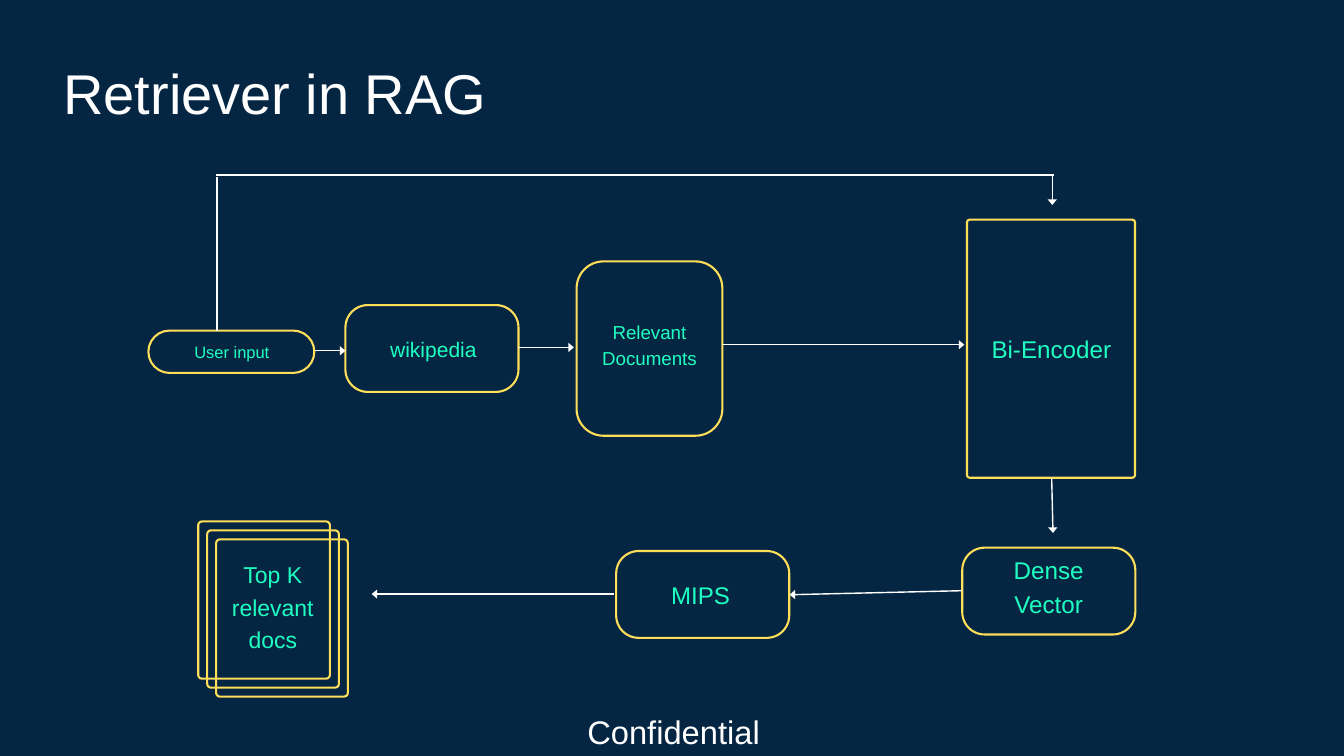
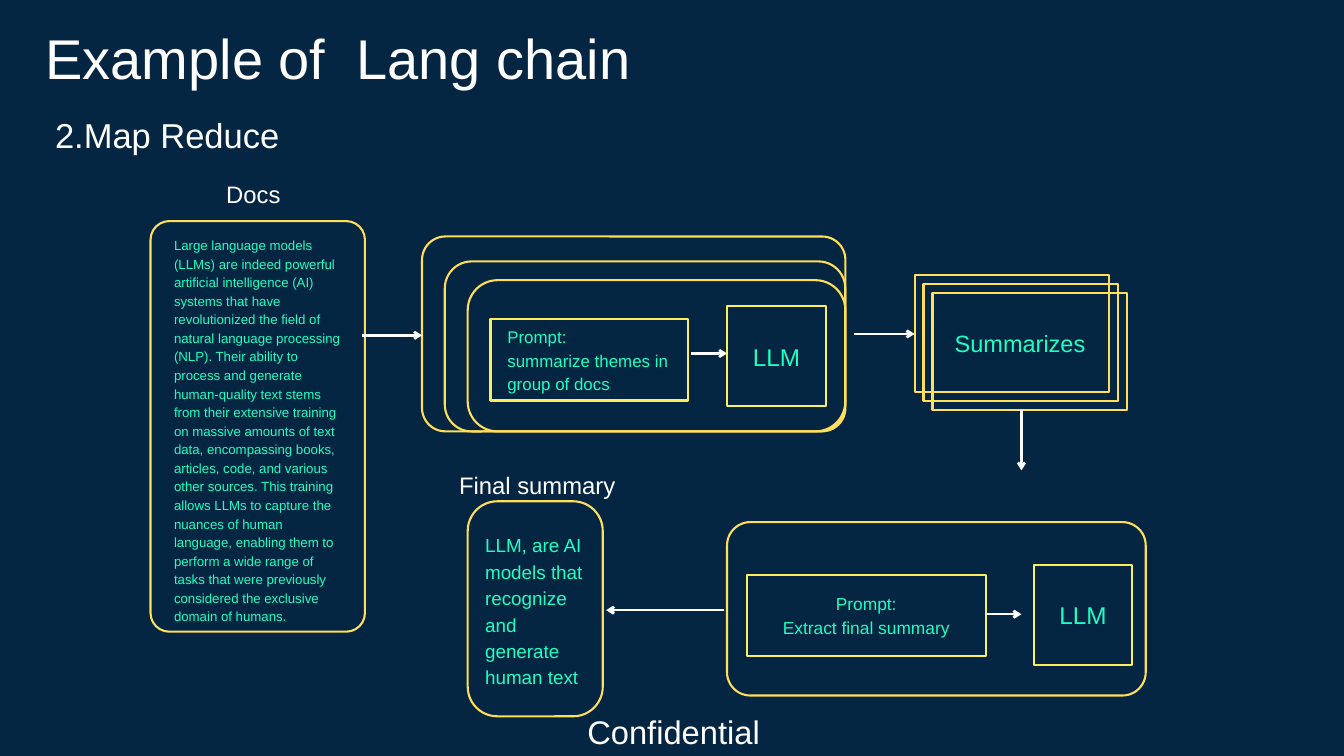
from lxml import etree
from pptx import Presentation
from pptx.dml.color import RGBColor
from pptx.enum import shapes, text
from pptx.oxml import ns
from pptx.util import Pt

NAVY = RGBColor(0x05, 0x26, 0x43)
WHITE = RGBColor(0xFF, 0xFF, 0xFF)
MINT = RGBColor(0x1E, 0xFF, 0xC1)
GOLD = RGBColor(0xFF, 0xDE, 0x59)
LEMON = RGBColor(0xFD, 0xEF, 0x59)

FONT = "Arial"
LEADING = 1.4
STACK_STEP = 9.6
STACK_SIZE = 3
TITLE_SIZE = 60
FOOTER = ("Confidential", (569.5, 755.3, 304.6, 49), 35, WHITE)
CENTER, LEFT = text.PP_ALIGN.CENTER, text.PP_ALIGN.LEFT
HEAD_WIDTHS = {"triangle": "lg", "arrow": "med"}

DOCS_TEXT = (
    "Large language models (LLMs) are indeed powerful artificial intelligence (AI) "
    "systems that have revolutionized the field of natural language processing (NLP). "
    "Their ability to process and generate human-quality text stems from their extensive "
    "training on massive amounts of text data, encompassing books, articles, code, and "
    "various other sources. This training allows LLMs to capture the nuances of human "
    "language, enabling them to perform a wide range of tasks that were previously "
    "considered the exclusive domain of humans."
)


def stack(left, top, width, height, radius):
    return [
        ((left + i * STACK_STEP, top + i * STACK_STEP, width, height), radius)
        for i in range(STACK_SIZE)
    ]


RETRIEVER = {
    "title": ("Retriever in RAG", (14, 51, 561, 83.5)),
    "outlines": [
        ((159, 354.2, 177.8, 45.4), 22.7),
        ((370.1, 326.9, 185.4, 93), 24),
        ((617.8, 280.1, 156.2, 186.8), 28.8),
        ((1036.1, 235.4, 180, 276.5), 3),
        ((660.2, 590.4, 185.4, 93), 24),
        ((1031, 586.8, 185.4, 93), 24),
        *stack(212.4, 558.7, 141.1, 168.5, 4),
    ],
    "panels": [],
    "labels": [
        ("User input", (189.4, 362.9, 118.1, 25.2), 17.7, MINT),
        ("wikipedia", (404.4, 355.7, 120, 31), 22.5, MINT),
        ("Relevant Documents", (617.8, 339.8, 156.2, 55.4), 20.1, MINT),
        ("Bi-Encoder", (1040.4, 352.8, 172.1, 36), 25.9, MINT),
        ("MIPS", (684, 616.3, 133.2, 36), 25.8, MINT),
        ("Top K relevant docs", (219.6, 596.2, 145.4, 101.5), 24.6, MINT),
        ("Dense\nVector", (1007.3, 589.7, 232.6, 72), 25.9, MINT),
    ],
    "lines": [
        ((231.8, 187.2, 1129, 187.2), 2.25, None),
        ((232.6, 189.4, 232.6, 354.2), 2.25, None),
        ((1127.5, 187.2, 1127.5, 219.6), 1.5, "triangle"),
        ((337, 375.8, 370.1, 375.8), 1.5, "triangle"),
        ((555.1, 372.2, 614.9, 372.2), 1.5, "triangle"),
        ((774, 369.4, 1033.2, 369.4), 1.5, "triangle"),
        ((1126.8, 511.9, 1128.2, 571), 1.5, "triangle"),
        ((1031, 632.9, 846, 637.2), 1.5, "triangle"),
        ((658.1, 636.5, 398.2, 636.5), 1.5, "triangle"),
    ],
}

MAP_REDUCE = {
    "title": ("Example of  Lang chain", (29.5, 13.7, 665.3, 83.5)),
    "outlines": [
        ((161.3, 236.9, 229.7, 439.9), 20),
        ((452.2, 253.4, 453.6, 208.8), 25),
        ((476.6, 280.1, 429.1, 182.2), 28.8),
        ((501.1, 300.2, 404.6, 162), 32),
        *stack(979.9, 294.5, 208.1, 126, 0),
        ((779, 559.4, 448.6, 185.8), 25),
        ((501.1, 537.1, 144.7, 230.4), 31.7),
    ],
    "panels": [
        (525.6, 342, 211.7, 87.1),
        (779, 327.6, 105.8, 107.3),
        (800.6, 615.6, 255.6, 87.1),
        (1107.4, 605.5, 105.8, 107.3),
    ],
    "labels": [
        ("2.Map Reduce", (59, 114.5, 240.5, 51.8), 37, WHITE),
        ("Docs", (216, 187.9, 110.9, 33.1), 25.5, WHITE),
        (DOCS_TEXT, (186.5, 251.3, 180, 409.7), 14.2, MINT, LEFT),
        ("Prompt:\nsummarize themes in group of docs",
         (543.6, 346.3, 211.7, 74.2), 18.1, MINT, LEFT),
        ("LLM", (779, 361.4, 105.8, 34.6), 26, MINT),
        ("Summarizes", (1018.8, 347, 148.3, 33.8), 25.2, MINT),
        ("Prompt:\nExtract final summary", (823, 631.4, 210.2, 51.8), 18.6, MINT),
        ("LLM", (1107.4, 637.9, 105.8, 34.6), 26, MINT),
        ("Final summary", (457.2, 499, 236.9, 33.1), 25.5, WHITE),
        ("LLM, are AI models that recognize and generate human text",
         (519.8, 568.1, 108, 165.6), 20.2, MINT, LEFT),
    ],
    "lines": [
        ((387.4, 359.3, 452.2, 359.3), 2.71, "arrow"),
        ((740.9, 378.7, 779, 378.7), 2.71, "arrow"),
        ((915.1, 357.8, 979.9, 357.8), 2.71, "arrow"),
        ((1094.4, 439.2, 1094.4, 504), 2.71, "arrow"),
        ((1056.2, 658.1, 1094.4, 658.1), 2.71, "arrow"),
        ((776.2, 653.8, 649.4, 653.8), 2.71, "arrow"),
    ],
}


def points(values):
    return [Pt(value) for value in values]


def write(box, words, size, color, align=CENTER):
    frame = box.text_frame
    frame.word_wrap = True
    frame.auto_size = text.MSO_AUTO_SIZE.NONE
    frame.vertical_anchor = text.MSO_ANCHOR.TOP
    frame.margin_left = frame.margin_right = frame.margin_top = frame.margin_bottom = 0
    for i, line in enumerate(words.split("\n")):
        para = frame.add_paragraph() if i else frame.paragraphs[0]
        para.alignment = align
        para.line_spacing = Pt(round(size * LEADING, 1))
        span = para.add_run()
        span.text = line
        span.font.name = FONT
        span.font.size = Pt(size)
        span.font.color.rgb = color


def add_title(page, words, place):
    title = page.shapes.title
    title.left, title.top, title.width, title.height = points(place)
    write(title, words, TITLE_SIZE, WHITE)


def add_label(page, words, place, size, color, align=CENTER):
    write(page.shapes.add_textbox(*points(place)), words, size, color, align)


def add_box(page, place, radius=0, border=GOLD, fill=None):
    kind = shapes.MSO_SHAPE.ROUNDED_RECTANGLE if radius else shapes.MSO_SHAPE.RECTANGLE
    box = page.shapes.add_shape(kind, *points(place))
    if radius:
        box.adjustments[0] = radius / min(place[2:])
    box.shadow.inherit = False
    if fill is None:
        box.fill.background()
    else:
        box.fill.solid()
        box.fill.fore_color.rgb = fill
    box.line.color.rgb = border
    box.line.width = Pt(2.25)


def add_line(page, ends, width, head):
    line = page.shapes.add_connector(shapes.MSO_CONNECTOR.STRAIGHT, *points(ends))
    line.line.color.rgb = WHITE
    line.line.width = Pt(width)
    properties = line._element.spPr
    if head:
        stroke = properties.find(ns.qn("a:ln"))
        etree.SubElement(stroke, ns.qn("a:tailEnd"), type=head, w=HEAD_WIDTHS[head])
    etree.SubElement(properties, ns.qn("a:effectLst"))


def build_page(deck, content):
    page = deck.slides.add_slide(deck.slide_layouts.get_by_name("Title Only"))
    add_title(page, *content["title"])
    for place, radius in content["outlines"]:
        add_box(page, place, radius)
    for place in content["panels"]:
        add_box(page, place, border=LEMON, fill=NAVY)
    for label in content["labels"] + [FOOTER]:
        add_label(page, *label)
    for line in content["lines"]:
        add_line(page, *line)


def main():
    deck = Presentation()
    deck.slide_width, deck.slide_height = points((1440, 810))
    background = deck.slide_master.background.fill
    background.solid()
    background.fore_color.rgb = NAVY
    for content in (RETRIEVER, MAP_REDUCE):
        build_page(deck, content)
    deck.save("out.pptx")


if __name__ == "__main__":
    main()
